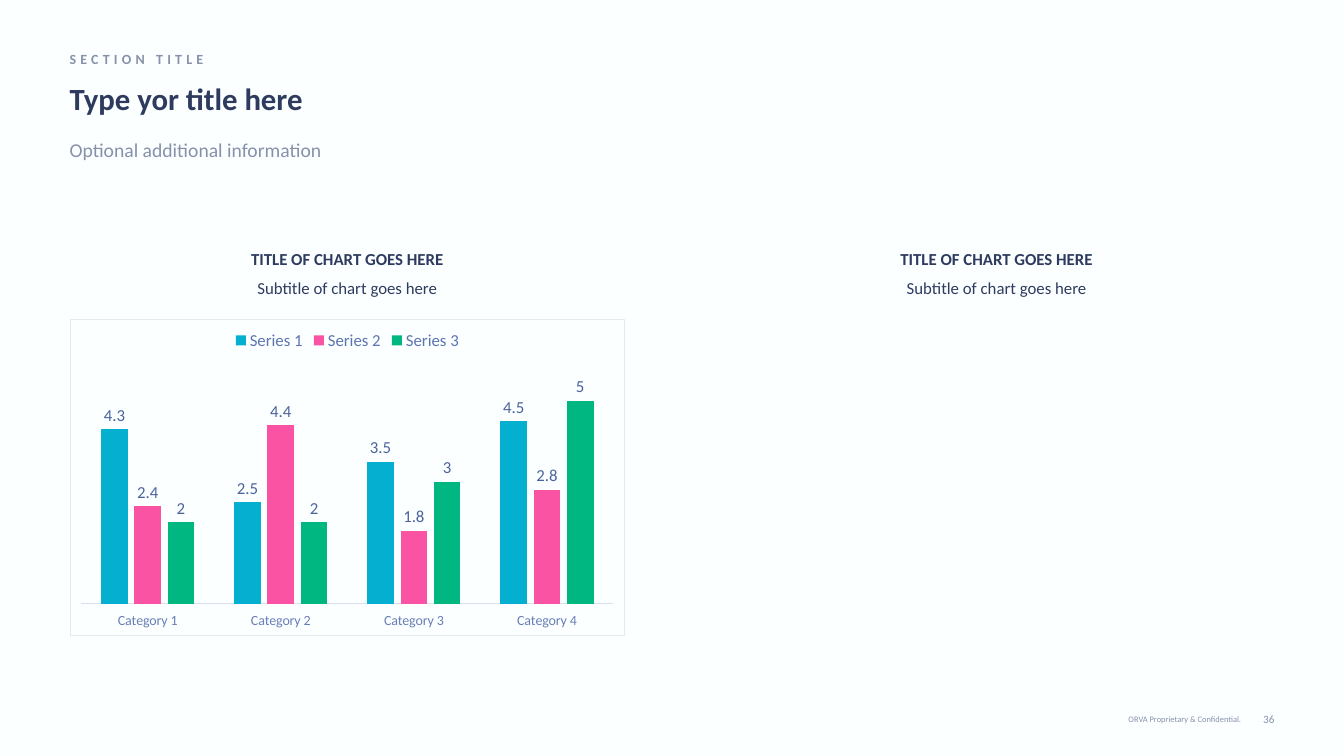
from dataclasses import dataclass

from lxml import etree
from pptx import Presentation
from pptx.chart.data import CategoryChartData
from pptx.dml.color import RGBColor
from pptx.enum.chart import (XL_CHART_TYPE, XL_LABEL_POSITION, XL_LEGEND_POSITION,
                             XL_TICK_LABEL_POSITION, XL_TICK_MARK)
from pptx.enum.text import MSO_ANCHOR, PP_ALIGN
from pptx.oxml import parse_xml
from pptx.oxml.ns import nsdecls
from pptx.util import Inches, Pt

COLUMNS = XL_CHART_TYPE.COLUMN_CLUSTERED
OUTSIDE = XL_LABEL_POSITION.OUTSIDE_END
LEGEND_TOP = XL_LEGEND_POSITION.TOP
LABELS_LOW = XL_TICK_LABEL_POSITION.LOW
NO_TICKS = XL_TICK_MARK.NONE
TOP, MIDDLE = MSO_ANCHOR.TOP, MSO_ANCHOR.MIDDLE
LEFT, CENTER, RIGHT = PP_ALIGN.LEFT, PP_ALIGN.CENTER, PP_ALIGN.RIGHT

FONT = "Calibri"
NAVY, GREY, PAPER = "2E3B5F", "8791AA", "FBFFFF"
SLIDE_W, SLIDE_H = Inches(13.33), Inches(7.5)

# Shares of the slide's size, in percent
MARGIN = 5.18
COLUMN_W = 41.33
COLUMN_LEFTS = (MARGIN, 100 - MARGIN - COLUMN_W)
FOOTER_TOP, FOOTER_H = 93.47, 3.2


@dataclass(frozen=True)
class Label:
    text: str
    left: float
    top: float
    width: float
    height: float
    size: float
    color: str = GREY
    bold: bool = False
    align: PP_ALIGN = LEFT
    anchor: MSO_ANCHOR = TOP
    insets: tuple = (0, 0, 0, 0)  # inches: left, top, right, bottom
    tracking: float = 0  # points


@dataclass(frozen=True)
class Series:
    name: str
    values: tuple
    color: str


HEADING = [
    Label("SECTION TITLE", MARGIN, 6.13, 29.78, 3.33, 10, bold=True, anchor=MIDDLE, tracking=3),
    Label("Type yor title here", MARGIN, 10.53, COLUMN_W, 4.93, 22, NAVY, bold=True),
    Label("Optional additional information", MARGIN, 17.6, 100 - 2 * MARGIN, 7.07, 14,
          insets=(0, 0.05, 0.1, 0.05)),
]
CHART_CAPTIONS = [
    Label(text, left, top, COLUMN_W, 4, 12, NAVY, bold, CENTER, insets=(0.1, 0.05, 0.1, 0.05))
    for left in COLUMN_LEFTS
    for text, top, bold in (("TITLE OF CHART GOES HERE", 32.27, True),
                            ("Subtitle of chart goes here", 36.13, False))
]
FOOTER = [
    Label("ORVA Proprietary & Confidential.", 78.24, FOOTER_TOP, 14.1, FOOTER_H, 6,
          align=RIGHT, anchor=MIDDLE),
    Label("36", 92.8, FOOTER_TOP, 2.03, FOOTER_H, 8, align=RIGHT, anchor=MIDDLE),
]
CATEGORIES = [f"Category {number}" for number in range(1, 5)]
SERIES = [
    Series("Series 1", (4.3, 2.5, 3.5, 4.5), "05AFD0"),
    Series("Series 2", (2.4, 4.4, 1.8, 2.8), "FA53A4"),
    Series("Series 3", (2, 2, 3, 5), "00B681"),
]


def rgb(color: str) -> RGBColor:
    return RGBColor.from_string(color)


def place(left: float, top: float, width: float, height: float) -> tuple:
    return (int(SLIDE_W * left / 100), int(SLIDE_H * top / 100),
            int(SLIDE_W * width / 100), int(SLIDE_H * height / 100))


def set_font(font, size: float, color: str, bold: bool = False) -> None:
    font.name, font.size, font.bold = FONT, Pt(size), bold
    font.color.rgb = rgb(color)


def add_label(slide, label: Label) -> None:
    box = slide.shapes.add_textbox(*place(label.left, label.top, label.width, label.height))
    frame = box.text_frame
    frame.word_wrap = True
    frame.vertical_anchor = label.anchor
    (frame.margin_left, frame.margin_top,
     frame.margin_right, frame.margin_bottom) = map(Inches, label.insets)
    paragraph = frame.paragraphs[0]
    paragraph.alignment = label.align
    run = paragraph.add_run()
    run.text = label.text
    set_font(paragraph.font, label.size, label.color, label.bold)
    if label.tracking:
        run._r.get_or_add_rPr().set("spc", str(int(label.tracking * 100)))


def add_border(chart, color: str, width: float) -> None:
    border = parse_xml(f'<c:spPr {nsdecls("c", "a")}><a:noFill/><a:ln w="{Pt(width)}">'
                       f'<a:solidFill><a:srgbClr val="{color}"/></a:solidFill></a:ln></c:spPr>')
    etree.ElementBase.addnext(chart._chartSpace.chart, border)


def add_column_chart(slide) -> None:
    data = CategoryChartData(number_format="General")
    data.categories = CATEGORIES
    for series in SERIES:
        data.add_series(series.name, series.values)
    chart = slide.shapes.add_chart(COLUMNS, *place(MARGIN, 42.13, COLUMN_W, 42), data).chart
    set_font(chart.font, 10, NAVY)
    chart.has_title = False
    add_border(chart, "E7E9EE", 0.75)

    # Legend
    chart.has_legend = True
    chart.legend.position = LEGEND_TOP
    chart.legend.include_in_layout = False
    set_font(chart.legend.font, 12, "5D74B1")

    # Axes
    values = chart.value_axis
    values.minimum_scale, values.maximum_scale = 0, 6
    values.has_major_gridlines = False
    values.visible = False
    categories = chart.category_axis
    categories.major_tick_mark = categories.minor_tick_mark = NO_TICKS
    categories.tick_label_position = LABELS_LOW
    set_font(categories.tick_labels.font, 10, "6A7EB7")
    categories.format.line.color.rgb = rgb("DADFED")
    categories.format.line.width = Pt(0.75)

    # Columns and their values
    plot = chart.plots[0]
    plot.vary_by_categories = False
    plot.gap_width, plot.overlap = 150, -25
    for columns, series in zip(plot.series, SERIES):
        columns.format.fill.solid()
        columns.format.fill.fore_color.rgb = rgb(series.color)
        columns.invert_if_negative = False
        labels = columns.data_labels
        labels.show_value = True
        labels.position = OUTSIDE
        set_font(labels.font, 12, "4C629D")


def main() -> None:
    deck = Presentation()
    deck.slide_width, deck.slide_height = SLIDE_W, SLIDE_H
    slide = deck.slides.add_slide(deck.slide_layouts[6])
    slide.background.fill.solid()
    slide.background.fill.fore_color.rgb = rgb(PAPER)
    for label in HEADING + CHART_CAPTIONS + FOOTER:
        add_label(slide, label)
    add_column_chart(slide)
    deck.save("out.pptx")


if __name__ == "__main__":
    main()
